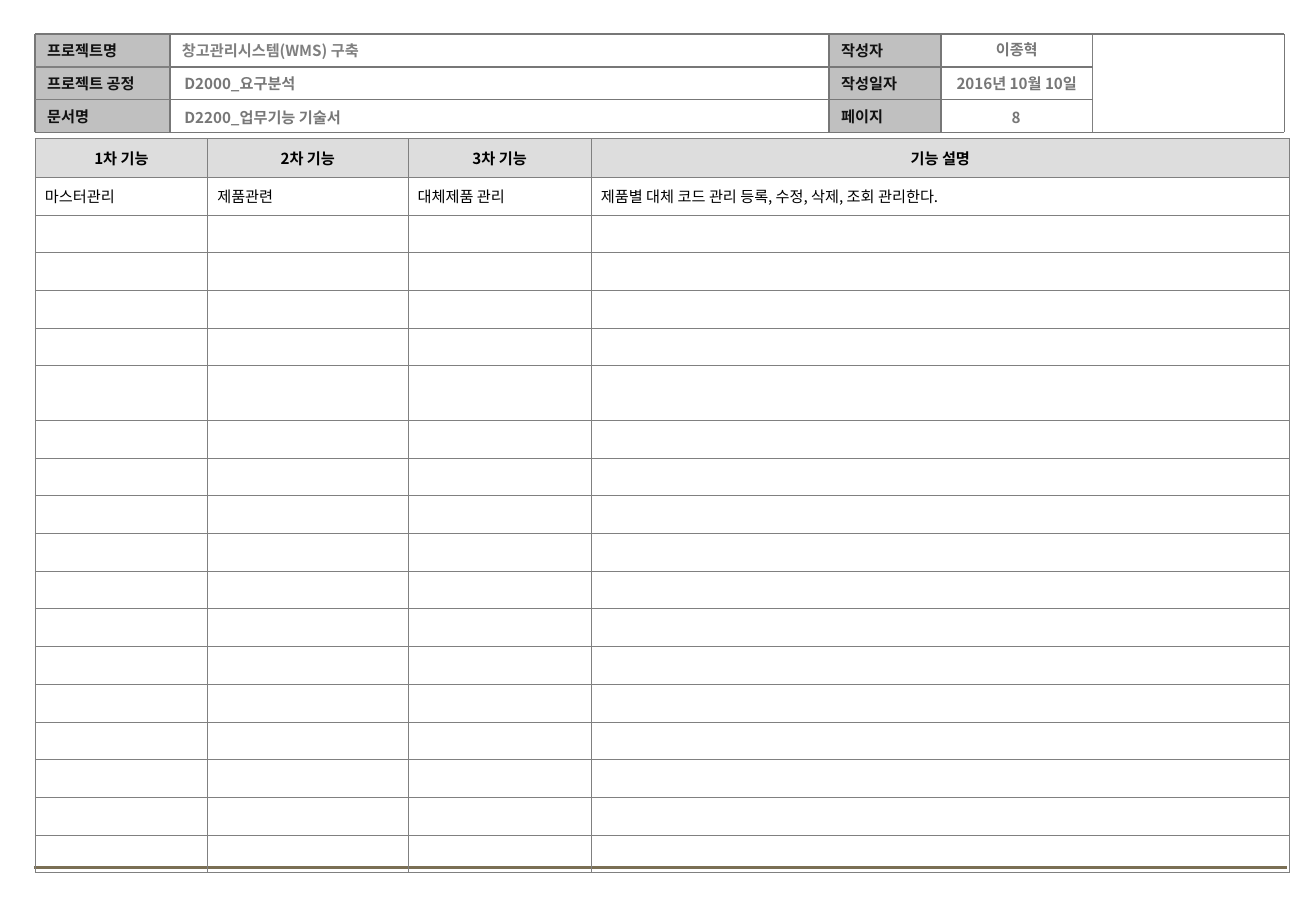
"""Build the function description sheet of a warehouse system project."""
import pptx
import pptx.dml.color
import pptx.enum.shapes
import pptx.enum.text
import pptx.oxml
import pptx.oxml.ns
import pptx.util
from lxml import etree
from pptx.util import Inches

FONT = "Noto Sans CJK KR"
SIZE = 9
GREY = "777777"
EDGE = "808080"
LEFT, RIGHT, TOP = 0.29, 10.58, 0.28
STEP = 0.27
LABELS = [
    (LEFT, 1.11, ["프로젝트명", "프로젝트 공정", "문서명"]),
    (6.83, 0.92, ["작성자", "작성일자", "페이지"]),
]
VALUES = [
    (7.78, 0.84, 1.18, "8", "c"),
    (1.42, 0.56, 4.8, "D2000_요구분석", "l"),
    (1.42, 0.84, 4.8, "D2200_업무기능 기술서", "l"),
    (7.59, 0.28, 1.57, "이종혁", "c"),
    (7.59, 0.56, 1.57, "2016년 10월 10일", "c"),
]
WIDTHS = [1.42, 1.65, 1.51, 5.75]
HEADS = ["1차 기능", "2차 기능", "3차 기능", "기능 설명"]
ITEMS = ["마스터관리", "제품관련", "대체제품 관리",
         "제품별 대체 코드 관리 등록, 수정, 삭제, 조회 관리한다."]
ROWS, TALL = 19, 6
ALIGN = {"l": pptx.enum.text.PP_ALIGN.LEFT, "c": pptx.enum.text.PP_ALIGN.CENTER}
MIDDLE = pptx.enum.text.MSO_ANCHOR.MIDDLE


def paint(hue):
    return pptx.dml.color.RGBColor.from_string(hue)


def add_node(parent, tag, **attrs):
    return etree.SubElement(parent, pptx.oxml.ns.qn(tag), **attrs)


def style(para, text, hue, bold=True, align="l"):
    para.text = text
    para.alignment = ALIGN[align]
    font = para.font
    font.size = pptx.util.Pt(SIZE)
    font.bold = bold
    font.color.rgb = paint(hue)
    font.name = FONT
    add_node(para._p.pPr.find(pptx.oxml.ns.qn("a:defRPr")), "a:ea", typeface=FONT)


def add_line(slide, start, end, hue=GREY, width=1):
    line = slide.shapes.add_connector(
        pptx.enum.shapes.MSO_CONNECTOR.STRAIGHT,
        *map(Inches, start), *map(Inches, end))
    line.line.color.rgb = paint(hue)
    line.line.width = pptx.util.Pt(width)
    add_node(line._element.spPr, "a:effectLst")


def add_label(slide, left, top, width, text):
    box = slide.shapes.add_shape(
        pptx.enum.shapes.MSO_SHAPE.RECTANGLE,
        *map(Inches, (left, top, width, STEP)))
    box.shadow.inherit = False
    box.fill.solid()
    box.fill.fore_color.rgb = paint("C0C0C0")
    box.line.fill.background()
    box.text_frame.vertical_anchor = MIDDLE
    style(box.text_frame.paragraphs[0], text, "111111")


def add_text(slide, left, top, width, text, align="l", height=0.25, hue=GREY):
    frame = slide.shapes.add_textbox(
        *map(Inches, (left, top, width, height))).text_frame
    frame.word_wrap = True
    style(frame.paragraphs[0], text, hue, align=align)
    return frame


def add_header(slide):
    for left, width, names in LABELS:
        for row, name in enumerate(names):
            add_label(slide, left, TOP + row * STEP, width, name)
    title = add_text(slide, 1.4, TOP, 5.43, "창고관리시스템(WMS) 구축",
                     height=STEP, hue="7F7F7F")
    title.vertical_anchor = MIDDLE
    base = TOP + 3 * STEP
    for x in (LEFT, 1.4, 6.83, 7.75, 9, RIGHT):
        add_line(slide, (x, TOP), (x, base), EDGE if x == 9 else GREY)
    for y in (TOP + STEP, TOP + 2 * STEP):
        add_line(slide, (LEFT, y), (1.4, y), EDGE)
        add_line(slide, (1.4, y), (9, y))
    for y in (TOP, base):
        add_line(slide, (LEFT, y), (RIGHT, y))
    for value in VALUES:
        add_text(slide, *value)


def add_border(cell):
    props = cell._tc.get_or_add_tcPr()
    for side in "LRTB":
        edge = add_node(props, f"a:ln{side}", w=str(pptx.util.Pt(0.45)))
        add_node(add_node(edge, "a:solidFill"), "a:srgbClr", val=EDGE)


def fill_cell(cell, text, head):
    add_border(cell)
    cell.vertical_anchor = MIDDLE
    cell.margin_left = cell.margin_right = Inches(0.08)
    cell.margin_top = cell.margin_bottom = Inches(0.05)
    if head:
        cell.fill.solid()
        cell.fill.fore_color.rgb = paint("DDDDDD")
    else:
        cell.fill.background()
    para = cell.text_frame.paragraphs[0]
    if text:
        style(para, text, "000000", head, "c" if head else "l")
    else:
        add_node(para._p, "a:endParaRPr", sz=str(SIZE * 100))


def add_grid(slide):
    grid = slide.shapes.add_table(
        ROWS, len(WIDTHS),
        *map(Inches, (LEFT, 1.14, sum(WIDTHS), 6.05))).table
    grid.horz_banding = False
    grid.first_row = False
    for col, width in zip(grid.columns, WIDTHS):
        col.width = Inches(width)
    fixed = {0: 0.32, TALL: 0.45}
    plain = (6.05 - sum(fixed.values())) / (ROWS - len(fixed))
    texts = {0: HEADS, 1: ITEMS}
    for index, row in enumerate(grid.rows):
        row.height = Inches(fixed.get(index, plain))
        for cell, text in zip(row.cells, texts.get(index, [""] * len(WIDTHS))):
            fill_cell(cell, text, index == 0)


def main():
    deck = pptx.Presentation()
    deck.slide_width, deck.slide_height = Inches(10.84), Inches(7.5)
    slide = deck.slides.add_slide(deck.slide_layouts[6])
    add_line(slide, (0.28, 7.14), (10.6, 7.14), "7A6F54", 1.75)
    add_header(slide)
    add_grid(slide)
    deck.save("out.pptx")


if __name__ == "__main__":
    main()
